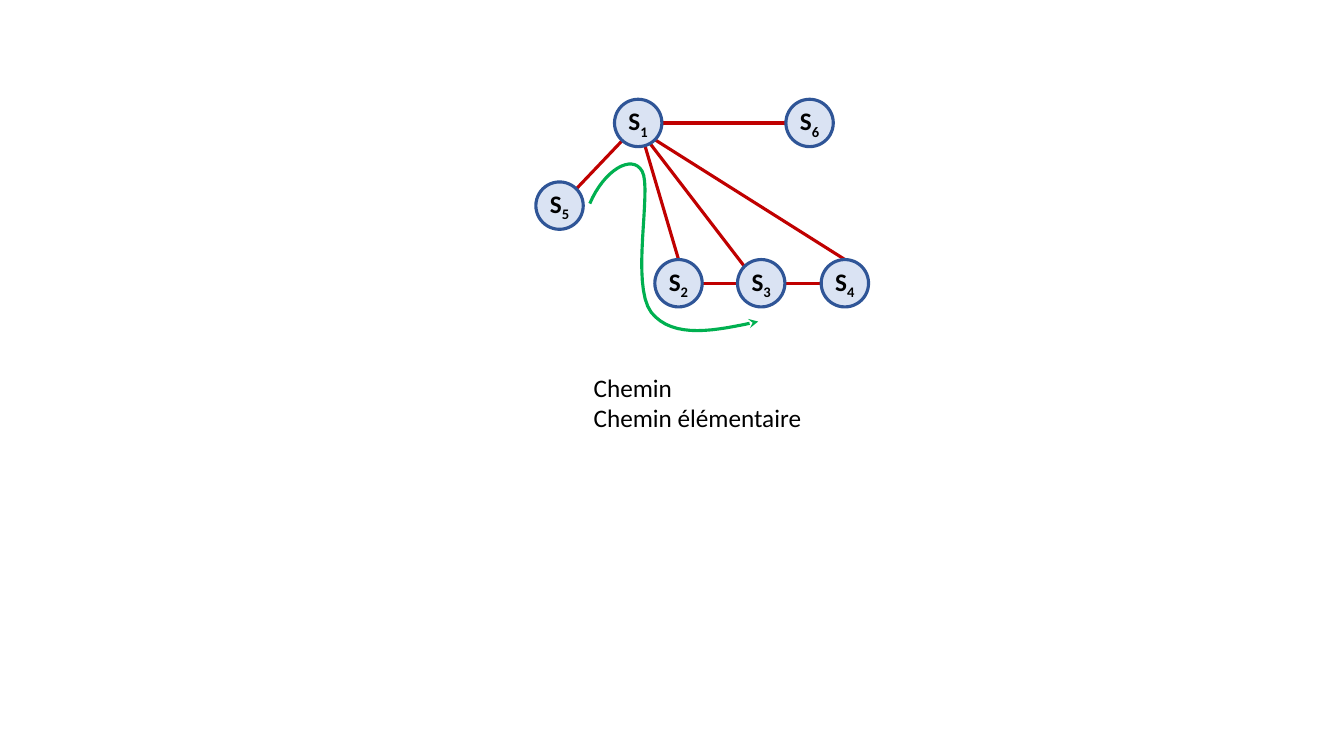
"""Build a slide showing a simple path through a six-vertex graph."""
from dataclasses import dataclass

from lxml import etree
from pptx import Presentation
from pptx.dml.color import RGBColor
from pptx.dml.line import LineFormat
from pptx.enum.shapes import MSO_CONNECTOR, MSO_SHAPE
from pptx.enum.text import MSO_ANCHOR, MSO_AUTO_SIZE, PP_ALIGN
from pptx.oxml.ns import qn
from pptx.slide import Slide
from pptx.text.text import Font
from pptx.util import Inches, Pt

STRAIGHT = MSO_CONNECTOR.STRAIGHT
OVAL = MSO_SHAPE.OVAL
MIDDLE = MSO_ANCHOR.MIDDLE
CENTER = PP_ALIGN.CENTER
FIT_SHAPE = MSO_AUTO_SIZE.SHAPE_TO_FIT_TEXT

Point = tuple[float, float]

DIAMETER = 0.47
CURVE_STEPS = 16
EDGE_RED = "C00000"
VERTEX_FILL = "DAE3F3"
VERTEX_BLUE = "2F5597"
PATH_GREEN = "00B050"
TEXT_BLACK = "000000"

DIRECTIONS: dict[str, Point] = {
    "center": (0, 0),
    "top": (0, -1),
    "left": (-1, 0),
    "right": (1, 0),
    "top left": (-0.71, -0.71),
    "top right": (0.71, -0.71),
    "bottom right": (0.71, 0.71),
}


@dataclass(frozen=True)
class Vertex:
    """A numbered vertex and its centre."""

    number: int
    x: float
    y: float

    def anchor(self, direction: str) -> Point:
        """Return the point of the circle in a direction."""
        across, down = DIRECTIONS[direction]
        return self.x + across * DIAMETER / 2, self.y + down * DIAMETER / 2


@dataclass(frozen=True)
class Edge:
    """An edge between two vertices, with the side it meets on each."""

    start: int
    start_side: str
    end: int
    end_side: str


VERTICES = {
    vertex.number: vertex
    for vertex in (
        Vertex(1, 6.33, 1.22),
        Vertex(2, 6.73, 2.81),
        Vertex(3, 7.55, 2.81),
        Vertex(4, 8.38, 2.81),
        Vertex(5, 5.55, 2.04),
        Vertex(6, 8.03, 1.22),
    )
}
EDGES = (
    Edge(1, "right", 6, "left"),
    Edge(4, "top", 1, "bottom right"),
    Edge(1, "top left", 3, "top left"),
    Edge(1, "center", 2, "top"),
    Edge(1, "top right", 5, "top right"),
    Edge(2, "right", 3, "left"),
    Edge(3, "right", 4, "left"),
)
PATH_START: Point = (5.85, 2.02)
PATH_CURVES: tuple[tuple[Point, Point, Point], ...] = (
    ((5.99, 1.69), (6.27, 1.52), (6.37, 1.7)),
    ((6.47, 1.88), (6.25, 2.82), (6.46, 3.1)),
    ((6.68, 3.37), (7.1, 3.28), (7.52, 3.19)),
)
CAPTIONS = ("Chemin", "Chemin élémentaire")


def color(value: str) -> RGBColor:
    """Turn a hex string into a colour."""
    return RGBColor.from_string(value)


def style_line(line: LineFormat, value: str) -> None:
    """Give a line its colour and the common width."""
    line.color.rgb = color(value)
    line.width = Pt(2.25)


def style_font(font: Font, bold: bool = False) -> None:
    """Apply the common font of the slide."""
    font.name = "Calibri"
    font.size = Pt(18)
    font.bold = bold
    font.color.rgb = color(TEXT_BLACK)


def draw_edge(page: Slide, edge: Edge) -> None:
    """Draw one edge of the graph."""
    ends = (
        VERTICES[edge.start].anchor(edge.start_side),
        VERTICES[edge.end].anchor(edge.end_side),
    )
    lengths = [Inches(value) for point in ends for value in point]
    connector = page.shapes.add_connector(STRAIGHT, *lengths)
    style_line(connector.line, EDGE_RED)
    etree.SubElement(connector._element.spPr, qn("a:effectLst"))


def draw_vertex(page: Slide, vertex: Vertex) -> None:
    """Draw one vertex with its subscripted label."""
    circle = page.shapes.add_shape(
        OVAL,
        Inches(vertex.x - DIAMETER / 2),
        Inches(vertex.y - DIAMETER / 2),
        Inches(DIAMETER),
        Inches(DIAMETER),
    )
    circle.shadow.inherit = False
    circle.fill.solid()
    circle.fill.fore_color.rgb = color(VERTEX_FILL)
    style_line(circle.line, VERTEX_BLUE)
    box = circle.text_frame
    box.margin_left = box.margin_right = box.margin_top = box.margin_bottom = 0
    box.vertical_anchor = MIDDLE
    box.word_wrap = False
    para = box.paragraphs[0]
    para.alignment = CENTER
    style_font(para.font, bold=True)
    para.add_run().text = "S"
    subscript = para.add_run()
    subscript.text = str(vertex.number)
    subscript._r.get_or_add_rPr().set("baseline", "-25000")


def curve_points(start: Point, curve: tuple[Point, Point, Point]) -> list[Point]:
    """Return points along a cubic curve, without its start."""
    points = []
    for step in range(1, CURVE_STEPS + 1):
        t = step / CURVE_STEPS
        weights = ((1 - t) ** 3, 3 * t * (1 - t) ** 2, 3 * t**2 * (1 - t), t**3)
        x, y = (
            sum(weight * value for weight, value in zip(weights, values))
            for values in zip(start, *curve)
        )
        points.append((Inches(x), Inches(y)))
    return points


def draw_path(page: Slide) -> None:
    """Draw the curved arrow that follows the path."""
    builder = page.shapes.build_freeform(*(Inches(value) for value in PATH_START))
    start = PATH_START
    for curve in PATH_CURVES:
        builder.add_line_segments(curve_points(start, curve), close=False)
        start = curve[-1]
    arrow = builder.convert_to_shape()
    arrow.shadow.inherit = False
    arrow.fill.background()
    style_line(arrow.line, PATH_GREEN)
    outline = arrow.line._get_or_add_ln()
    etree.SubElement(outline, qn("a:round"))
    etree.SubElement(outline, qn("a:tailEnd"), type="stealth")


def draw_captions(page: Slide) -> None:
    """Write the kinds of path below the graph."""
    box = page.shapes.add_textbox(
        Inches(5.79), Inches(3.64), Inches(2.36), Inches(0.71)
    ).text_frame
    box.word_wrap = True
    box.auto_size = FIT_SHAPE
    box.vertical_anchor = MIDDLE
    box.text = "\n".join(CAPTIONS)
    for para in box.paragraphs:
        style_font(para.font)


def main() -> None:
    """Build and save the deck."""
    deck = Presentation()
    deck.slide_width = Inches(13.33)
    deck.slide_height = Inches(7.5)
    page = deck.slides.add_slide(deck.slide_layouts[6])
    for edge in EDGES:
        draw_edge(page, edge)
    for vertex in VERTICES.values():
        draw_vertex(page, vertex)
    draw_path(page)
    draw_captions(page)
    deck.save("out.pptx")


if __name__ == "__main__":
    main()
